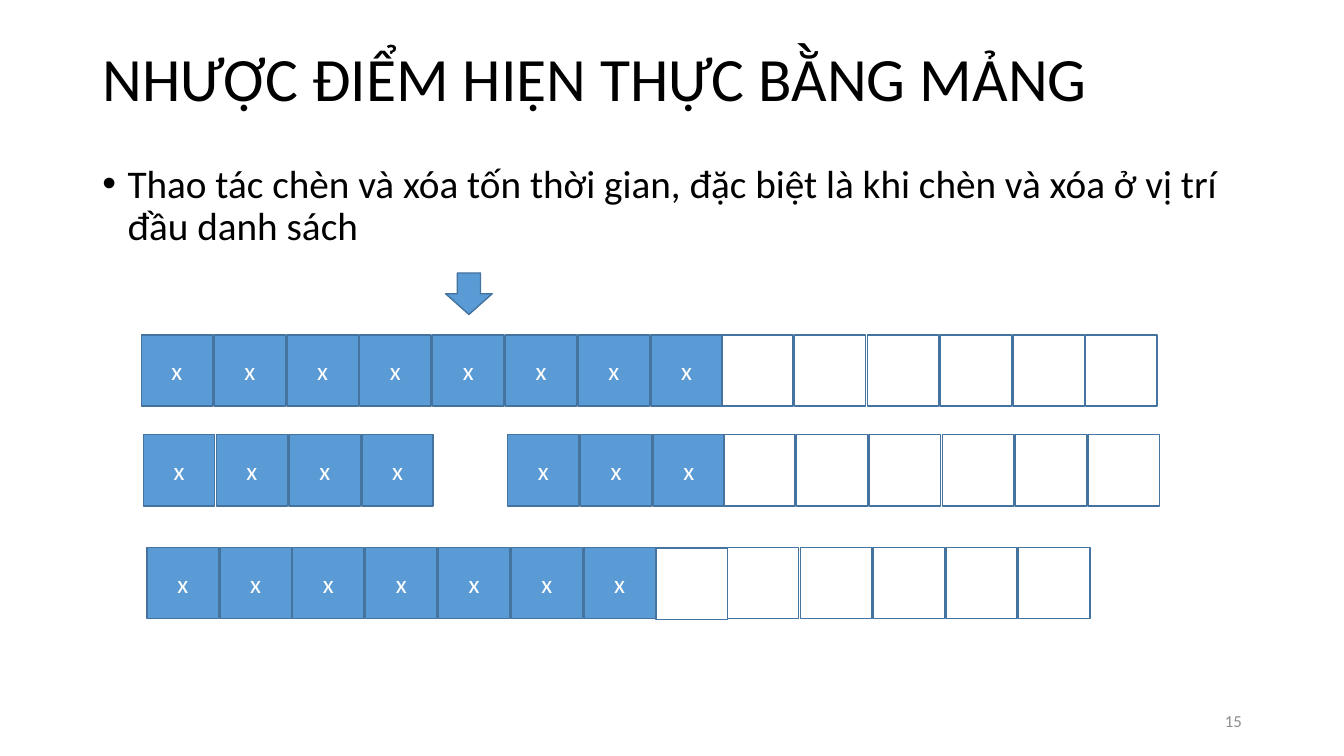
from lxml.etree import SubElement
from pptx import Presentation
from pptx.dml.color import RGBColor
from pptx.enum.shapes import MSO_SHAPE as Preset
from pptx.enum.text import MSO_ANCHOR as Anchor, PP_ALIGN as Align
from pptx.oxml.ns import qn
from pptx.util import Inches, Pt

FONT = "Calibri"
COLORS = {
    "text": "000000",
    "number": "8C8C8C",
    "cell": "5B9BD5",
    "border": "43739E",
    "mark": "FFFFFF",
}
UNIT = 13 / 18  # inches in one grid column or row
CELL = 0.98  # side of an array cell, in grid units
FREE_SHIFT = 0.03  # free cells sit slightly left of the grid


class ArraySlide:
    def __init__(self, presentation):
        self.slide = presentation.slides.add_slide(presentation.slide_layouts[6])

    @staticmethod
    def place(*box):
        """Turn left, top, width and height in grid units into lengths."""
        return [Inches(value * UNIT) for value in box]

    @staticmethod
    def color(name):
        return RGBColor.from_string(COLORS[name])

    def fill_frame(self, frame, text, size, color, align=Align.LEFT, anchor=Anchor.MIDDLE):
        frame.word_wrap = True
        frame.vertical_anchor = anchor
        paragraph = frame.paragraphs[0]
        paragraph.alignment = align
        run = paragraph.add_run()
        run.text = text
        run.font.name = FONT
        run.font.size = Pt(size)
        run.font.color.rgb = self.color(color)
        return paragraph

    def text(self, box, text, size, color="text", **layout):
        frame = self.slide.shapes.add_textbox(*self.place(*box)).text_frame
        return self.fill_frame(frame, text, size, color, **layout)

    def title(self, box, text):
        self.text(box, text, 44).line_spacing = 0.9

    def bullet(self, box, text):
        paragraph = self.text(box, text, 28, anchor=Anchor.TOP)
        paragraph.line_spacing = 0.9
        paragraph.space_before = Pt(10)
        properties = paragraph._p.get_or_add_pPr()
        properties.set("marL", str(Inches(0.25)))
        properties.set("indent", str(Inches(-0.25)))
        SubElement(properties, qn("a:buFont"), typeface="Arial")
        SubElement(properties, qn("a:buChar"), char="•")

    def shape(self, preset, box, filled=True):
        shape = self.slide.shapes.add_shape(preset, *self.place(*box))
        shape.shadow.inherit = False
        if filled:
            shape.fill.solid()
            shape.fill.fore_color.rgb = self.color("cell")
        else:
            shape.fill.background()
        shape.line.color.rgb = self.color("border")
        shape.line.width = Pt(1)
        return shape

    def array(self, left, top, cells):
        """Draw one cell per letter: x is used, a dot is free, a space is a gap."""
        for column, content in enumerate(cells):
            if content == " ":
                continue
            used = content == "x"
            cell_left = left + column - (0 if used else FREE_SHIFT)
            cell = self.shape(Preset.RECTANGLE, (cell_left, top, CELL, CELL), used)
            if used:
                self.fill_frame(cell.text_frame, content, 18, "mark", Align.CENTER)


def main():
    presentation = Presentation()
    presentation.slide_width = Inches(13.33)
    presentation.slide_height = Inches(7.5)

    page = ArraySlide(presentation)
    page.title((1.27, 0.55, 15.92, 1.15), "NHƯỢC ĐIỂM HIỆN THỰC BẰNG MẢNG")
    page.bullet(
        (1.27, 2.19, 15.92, 1.38),
        "Thao tác chèn và xóa tốn thời gian, đặc biệt là khi chèn và xóa ở vị trí đầu danh sách",
    )
    page.text((13.04, 9.62, 4.15, 0.55), "15", 12, "number", align=Align.RIGHT)

    page.shape(Preset.DOWN_ARROW, (6.12, 3.75, 0.64, 0.57))
    page.array(1.94, 4.6, "xxxxxxxx......")
    page.array(1.97, 5.97, "xxxx xxx......")
    page.array(2.02, 7.52, "xxxxxxx .....")
    page.array(9.04, 7.53, ".")  # the cell freed by the deletion

    presentation.save("out.pptx")


if __name__ == "__main__":
    main()
